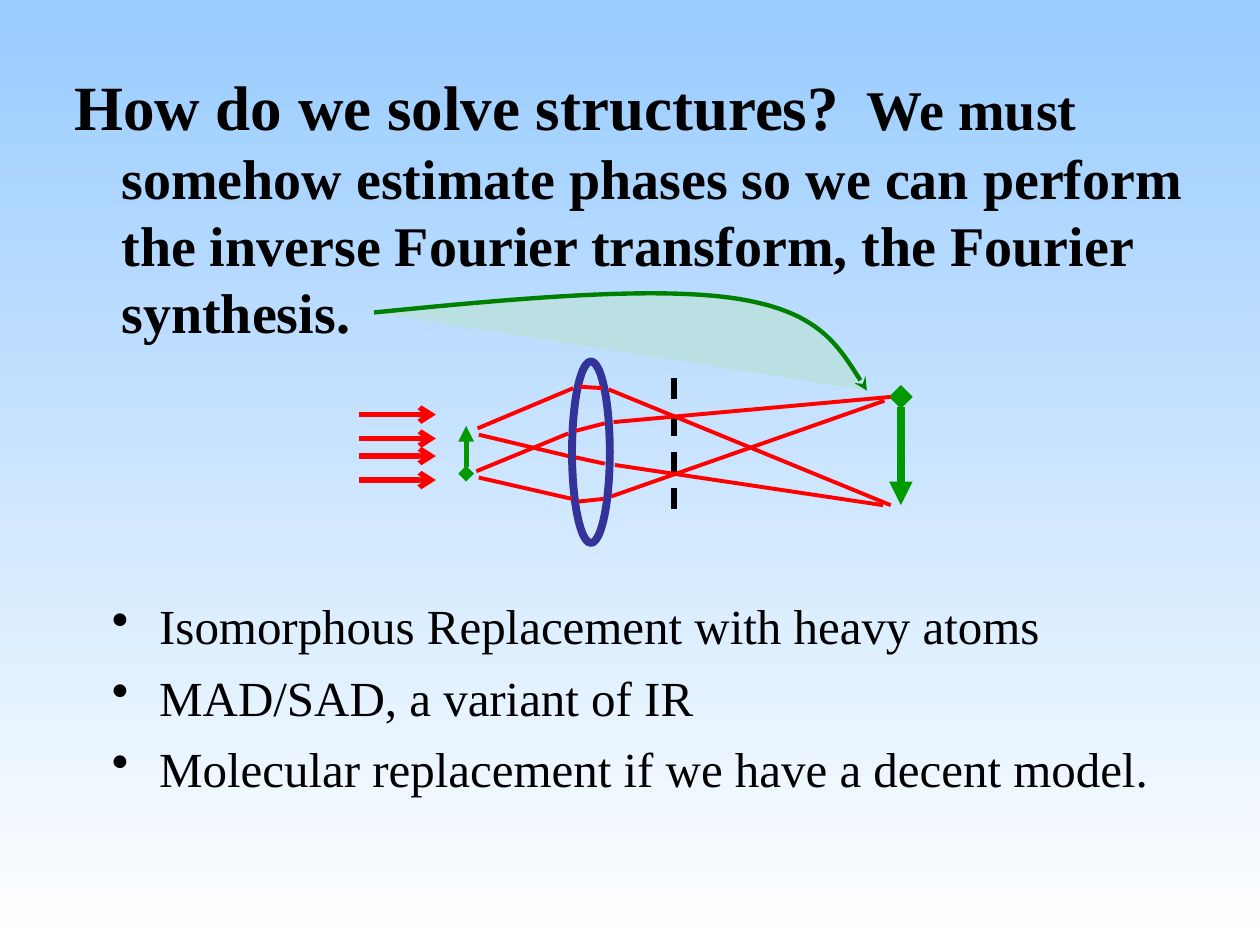
from lxml import etree
from pptx import Presentation
from pptx.dml.color import RGBColor
from pptx.enum.dml import MSO_LINE
from pptx.enum.shapes import MSO_CONNECTOR, MSO_SHAPE
from pptx.oxml.ns import qn
from pptx.util import Pt

STRAIGHT = MSO_CONNECTOR.STRAIGHT
ELLIPSE = MSO_SHAPE.OVAL
DASH = MSO_LINE.DASH

SKY = RGBColor(0x99, 0xCC, 0xFF)
WHITE = RGBColor(0xFF, 0xFF, 0xFF)
BLACK = RGBColor(0, 0, 0)
RED = RGBColor(0xFF, 0, 0)
GREEN = RGBColor(0, 0x99, 0)
DARK_GREEN = RGBColor(0, 0x80, 0)
PALE_TEAL = RGBColor(0xBB, 0xE0, 0xE3)
LENS_BLUE = RGBColor(0x33, 0x33, 0x99)

FONT = "Times New Roman"
INDENT = 27

TITLE_RUNS = [
    ("How do we solve structures?", 36),
    ("  We must somehow estimate phases so we can perform the inverse "
     "Fourier transform, the Fourier synthesis.", 32),
]
METHODS = [
    "Isomorphous Replacement with heavy atoms",
    "MAD/SAD, a variant of IR",
    "Molecular replacement if we have a decent model.",
]

BEAM_HEIGHTS = [236.9, 250.6, 260.6, 274.3]
# Each ray is start x, start y, end x, end y.
RAYS = [
    # object to lens
    (272.9, 244.8, 327.6, 221.8),
    (272.2, 269.3, 324.7, 247.7),
    (273.6, 272.9, 326.9, 285.1),
    (273.6, 248.4, 324.7, 260.6),
    # lens to image
    (347.8, 222.5, 509, 288.7),
    (350.6, 241.2, 509, 226.8),
    (351.4, 265.7, 504.7, 288.7),
    (349.2, 283.7, 505.4, 229),
    # inside the lens
    (331.2, 221, 344.2, 221.8),
    (329, 246.2, 345.6, 241.9),
    (329, 261.4, 345.6, 265),
    (330.5, 286.6, 344.9, 285.1),
]
# Start point, then two control points and an end point for each curve.
POINTER_POINTS = [
    (213.8, 178.6),
    (293.8, 170.6), (373, 163.4), (420.5, 170.6),
    (467.3, 177.8), (481, 200.2), (495.4, 223.2),
]


def set_background(slide):
    fill = slide.background.fill
    fill.gradient()
    fill.gradient_angle = 270
    for stop, color in zip(fill.gradient_stops, (SKY, WHITE)):
        stop.color.rgb = color


def style_line(line, color, width, head=None, tail=None):
    line.color.rgb = color
    line.width = Pt(width)
    for tag, kind in (("a:headEnd", head), ("a:tailEnd", tail)):
        if kind:
            etree.SubElement(line._get_or_add_ln(), qn(tag), type=kind)


def add_line(shapes, ends, color, width, head=None, tail=None, dash=None):
    connector = shapes.add_connector(STRAIGHT, *[Pt(value) for value in ends])
    if dash:
        connector.line.dash_style = dash
    style_line(connector.line, color, width, head, tail)
    etree.SubElement(connector._element.spPr, qn("a:effectLst"))


def add_lens(shapes):
    lens = shapes.add_shape(ELLIPSE, Pt(326.9), Pt(206.6), Pt(21.6), Pt(103.7))
    lens.shadow.inherit = False
    lens.fill.background()
    style_line(lens.line, LENS_BLUE, 4.5)


def add_optics_diagram(slide):
    shapes = slide.shapes.add_group_shape().shapes
    add_lens(shapes)
    for y in BEAM_HEIGHTS:
        add_line(shapes, (205.2, y, 249.1, y), RED, 3, tail="arrow")
    add_line(shapes, (266.4, 270.7, 266.4, 243.4), GREEN, 3, "diamond", "triangle")
    add_line(shapes, (514.8, 226.8, 514.8, 288.7), GREEN, 4.5, "diamond", "triangle")
    add_line(shapes, (385.2, 216, 385.2, 294.5), BLACK, 3, dash=DASH)
    for ray in RAYS:
        add_line(shapes, ray, RED, 2.25)


def turn_into_curves(freeform):
    """Join every three line segments into one cubic curve."""
    path = freeform._element.find(".//" + qn("a:path"))
    segments = path.findall(qn("a:lnTo"))
    for start in range(0, len(segments), 3):
        curve = etree.SubElement(path, qn("a:cubicBezTo"))
        for segment in segments[start:start + 3]:
            curve.append(segment[0])
            path.remove(segment)


def add_curved_pointer(slide):
    points = [(Pt(x), Pt(y)) for x, y in POINTER_POINTS]
    builder = slide.shapes.build_freeform(*points[0], scale=1.0)
    builder.add_line_segments(points[1:], close=False)
    pointer = builder.convert_to_shape()
    turn_into_curves(pointer)
    pointer.shadow.inherit = False
    pointer.fill.solid()
    pointer.fill.fore_color.rgb = PALE_TEAL
    style_line(pointer.line, DARK_GREEN, 2.5, tail="stealth")


def add_text_frame(slide, left, top, width, height):
    box = slide.shapes.add_textbox(Pt(left), Pt(top), Pt(width), Pt(height))
    box.text_frame.word_wrap = True
    return box.text_frame


def set_hanging_indent(paragraph):
    properties = paragraph._p.get_or_add_pPr()
    properties.set("marL", str(Pt(INDENT)))
    properties.set("indent", str(-Pt(INDENT)))
    return properties


def add_run(paragraph, text, size, bold=False):
    run = paragraph.add_run()
    run.text = text
    run.font.name = FONT
    run.font.size = Pt(size)
    run.font.bold = bold
    run.font.color.rgb = BLACK


def add_title(slide):
    paragraph = add_text_frame(slide, 35.3, 35.3, 652.3, 162).paragraphs[0]
    set_hanging_indent(paragraph)
    for text, size in TITLE_RUNS:
        add_run(paragraph, text, size, bold=True)


def add_methods(slide):
    frame = add_text_frame(slide, 56.9, 337, 612, 147.6)
    for index, method in enumerate(METHODS):
        paragraph = frame.add_paragraph() if index else frame.paragraphs[0]
        properties = set_hanging_indent(paragraph)
        etree.SubElement(properties, qn("a:buChar"), char="•")
        if index:
            paragraph.space_before = Pt(7)
        add_run(paragraph, method, 28)


def main():
    presentation = Presentation()
    presentation.slide_width = Pt(720)
    presentation.slide_height = Pt(540)
    slide = presentation.slides.add_slide(presentation.slide_layouts[6])
    set_background(slide)
    add_methods(slide)
    add_optics_diagram(slide)
    add_title(slide)
    add_curved_pointer(slide)
    presentation.save("out.pptx")


if __name__ == "__main__":
    main()
